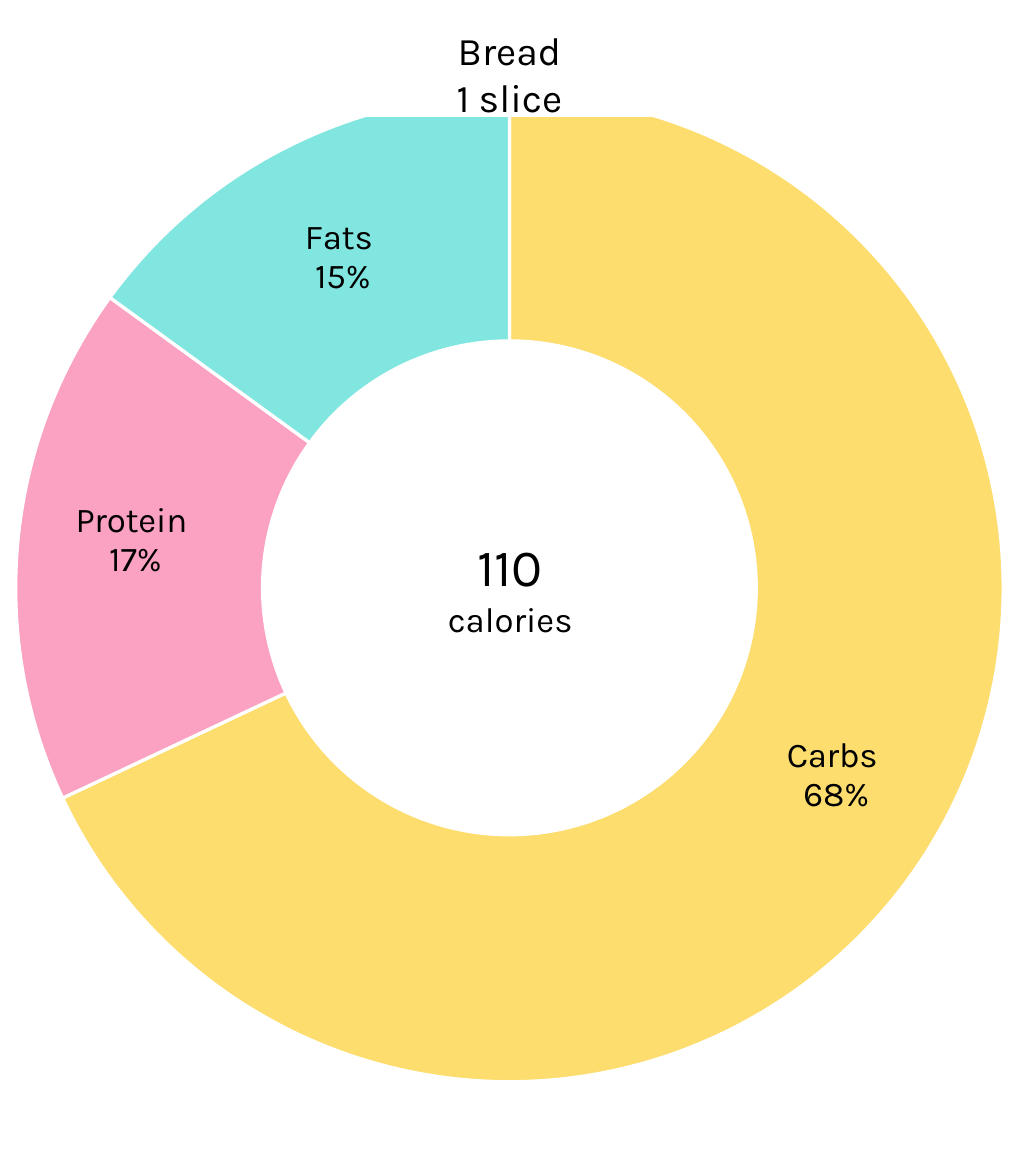
from lxml.etree import SubElement
from pptx import Presentation
from pptx.chart.data import CategoryChartData
from pptx.dml.color import RGBColor
from pptx.enum.chart import XL_CHART_TYPE
from pptx.enum.shapes import MSO_SHAPE
from pptx.enum.text import MSO_ANCHOR, MSO_AUTO_SIZE, PP_ALIGN
from pptx.oxml.ns import qn
from pptx.util import Emu, Pt

PX = 9144  # 100 px to the inch
SIZE = (650, 750)
FONT = "Karla"
BASE_FONT = "Calibri"
COLORS = {"text": "000000", "paper": "FFFFFF", "Carbs": "FDDD6E",
          "Protein": "FBA1C1", "Fats": "81E5E0"}

# name, share, label lines, label shift
PARTS = [
    ("Carbs", 0.68, ["Carbs ", "68%"], (9, -7)),
    ("Protein", 0.17, ["Protein", " 17%"], (-6, -8)),
    ("Fats", 0.15, ["Fats ", "15%"], (1, 0)),
]
TITLE = [("Bread", 18), ("1 slice", 18)]
TOTAL = [("110", 24), ("calories", 16)]
LABEL_PT = 16

CHART_BOX = (-4, 0, 658, 750)
RING_BOX = (10, 60, 630, 630)
TOTAL_BOX = (269, 336, 113, 77)
TITLE_BOX = (150, 19, 350, 55)


def emu(box):
    return [Emu(n * PX) for n in box]


def color(name):
    return RGBColor.from_string(COLORS[name])


def style(font, name, size):
    font.name = name
    font.size = Pt(size)
    font.color.rgb = color("text")


def write(frame, lines):
    """Put each (text, points) pair in a centred paragraph."""
    for i, (text, size) in enumerate(lines):
        para = frame.add_paragraph() if i else frame.paragraphs[0]
        para.alignment = PP_ALIGN.CENTER
        run = para.add_run()
        run.text = text
        style(run.font, FONT, size)


def place(node, index, rules):
    """Give a chart part a manual layout made of (tag, value) rules."""
    layout = node.find(qn("c:layout"))
    if layout is None:
        layout = SubElement(node, qn("c:layout"))
        node.insert(index, layout)
    manual = SubElement(layout, qn("c:manualLayout"))
    for tag, val in rules:
        SubElement(manual, qn("c:" + tag)).set("val", str(val))


def place_parts(chart):
    left, top, wide, high = CHART_BOX
    x, y, w, h = RING_BOX
    place(chart.element.find(".//" + qn("c:plotArea")), 0, [
        ("layoutTarget", "inner"), ("xMode", "edge"), ("yMode", "edge"),
        ("x", (x - left) / wide), ("y", (y - top) / high),
        ("w", w / wide), ("h", h / high)])
    labels = chart.element.iter(qn("c:dLbl"))
    for label, (_, _, _, (dx, dy)) in zip(labels, PARTS):
        place(label, 1, [("x", dx / wide), ("y", dy / high)])
        label.find(qn("c:showCatName")).set("val", "1")


def add_ring(slide):
    data = CategoryChartData(number_format="0%")
    data.categories = [part[0] for part in PARTS]
    data.add_series("Series 1", [part[1] for part in PARTS])
    chart = slide.shapes.add_chart(
        XL_CHART_TYPE.DOUGHNUT, *emu(CHART_BOX), data).chart
    chart.has_legend = False
    chart.has_title = False
    style(chart.font, BASE_FONT, 10)
    plot = chart.plots[0]
    plot.vary_by_categories = True
    series = plot.series[0]
    for i, (name, _, lines, _) in enumerate(PARTS):
        point = series.points[i]
        point.format.fill.solid()
        point.format.fill.fore_color.rgb = color(name)
        point.format.line.color.rgb = color("paper")
        point.format.line.width = Pt(1.5)
        write(point.data_label.text_frame, [(t, LABEL_PT) for t in lines])
    labels = series.data_labels
    labels.show_value = True
    labels.show_category_name = True
    labels.number_format = "0%"
    labels.number_format_is_linked = False
    style(labels.font, BASE_FONT, 12)
    place_parts(chart)


def add_total(slide):
    frame = slide.shapes.add_textbox(*emu(TOTAL_BOX)).text_frame
    frame.word_wrap = False
    frame.auto_size = MSO_AUTO_SIZE.SHAPE_TO_FIT_TEXT
    write(frame, TOTAL)


def add_title(slide):
    shape = slide.shapes.add_shape(MSO_SHAPE.RECTANGLE, *emu(TITLE_BOX))
    shape.shadow.inherit = False
    shape.fill.solid()
    shape.fill.fore_color.rgb = color("paper")
    shape.line.color.rgb = color("paper")
    shape.line.width = Pt(1)
    shape.text_frame.vertical_anchor = MSO_ANCHOR.MIDDLE
    write(shape.text_frame, TITLE)


def main():
    deck = Presentation()
    deck.slide_width, deck.slide_height = emu(SIZE)
    slide = deck.slides.add_slide(deck.slide_layouts[6])
    add_ring(slide)
    add_total(slide)
    add_title(slide)
    deck.save("out.pptx")


if __name__ == "__main__":
    main()
